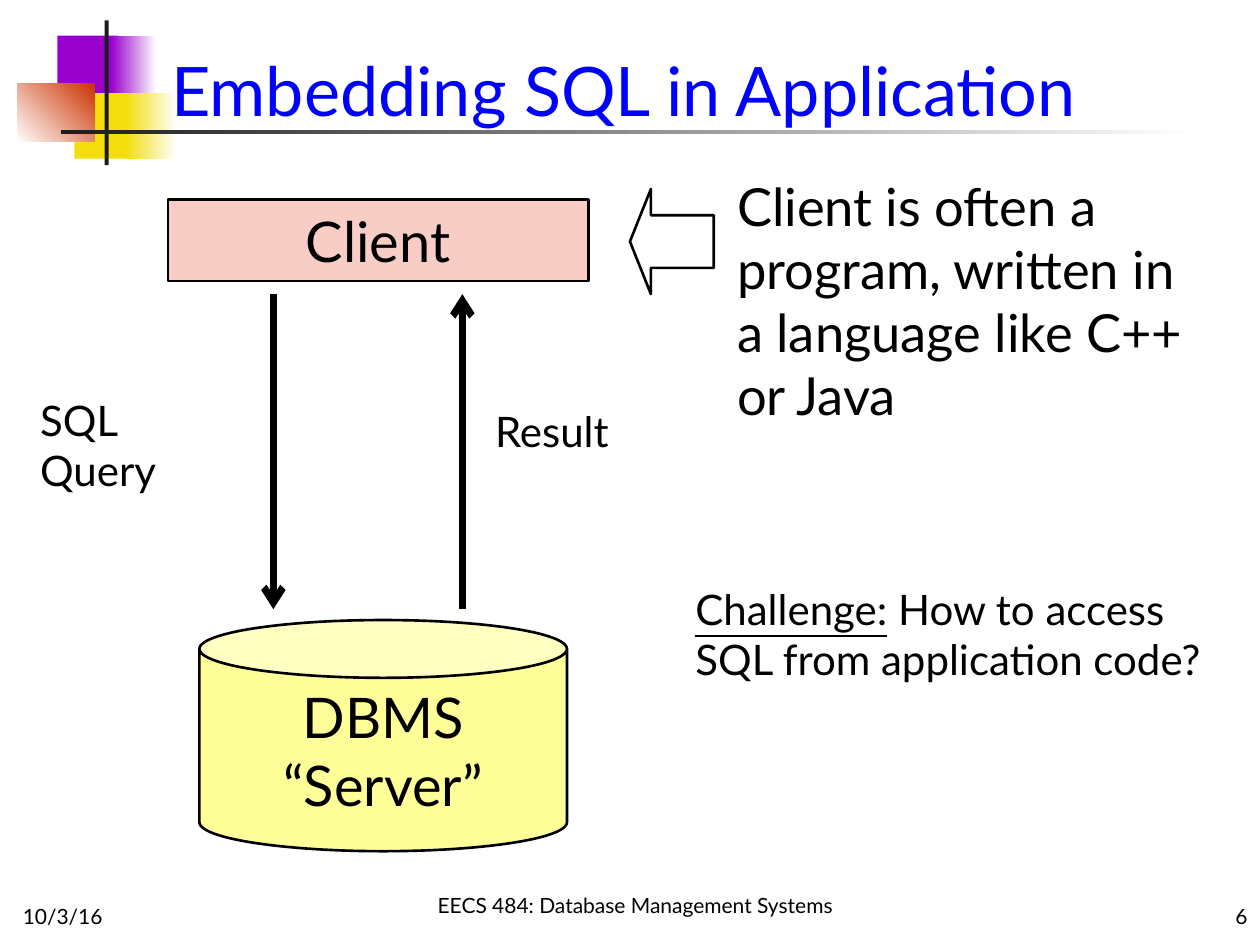
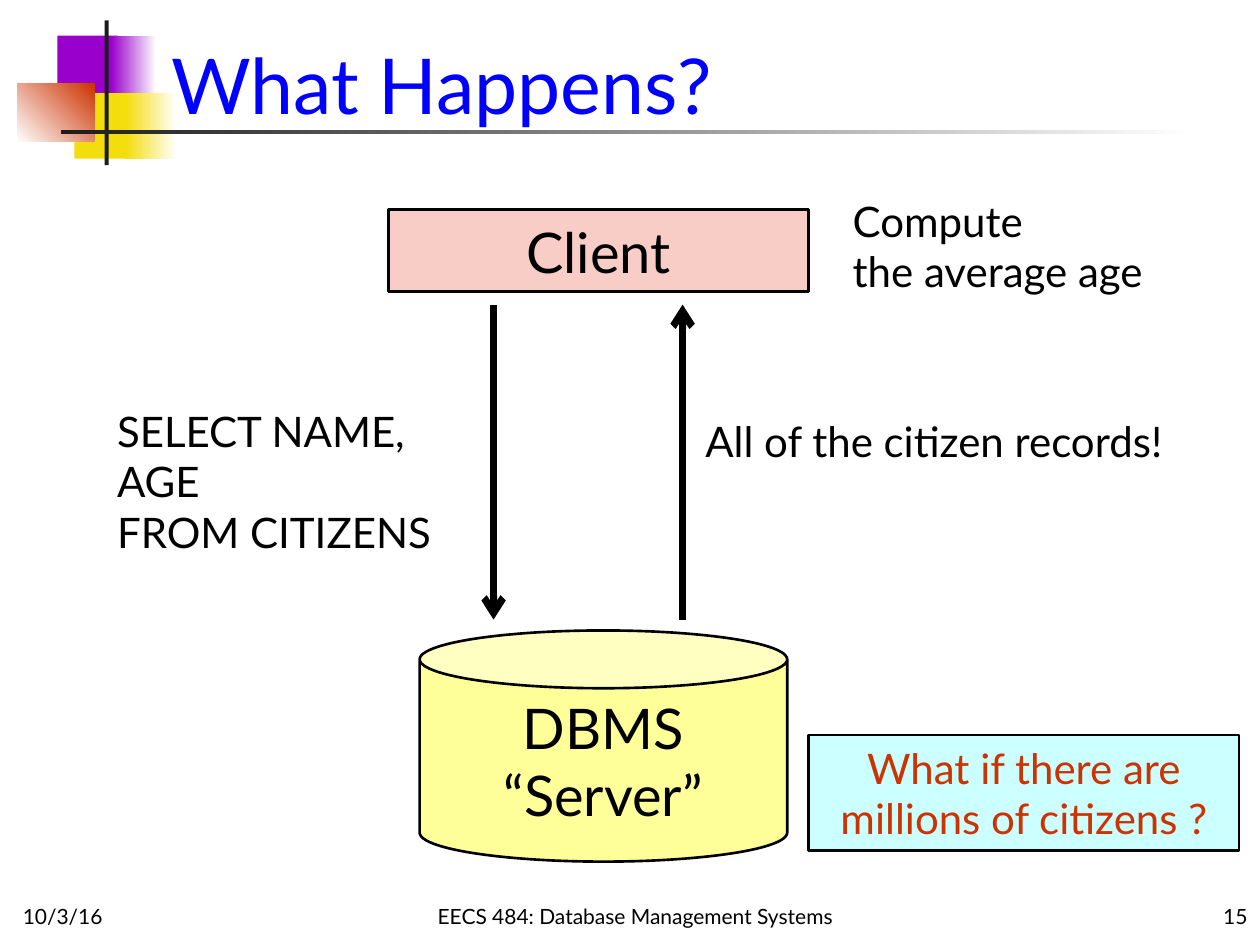
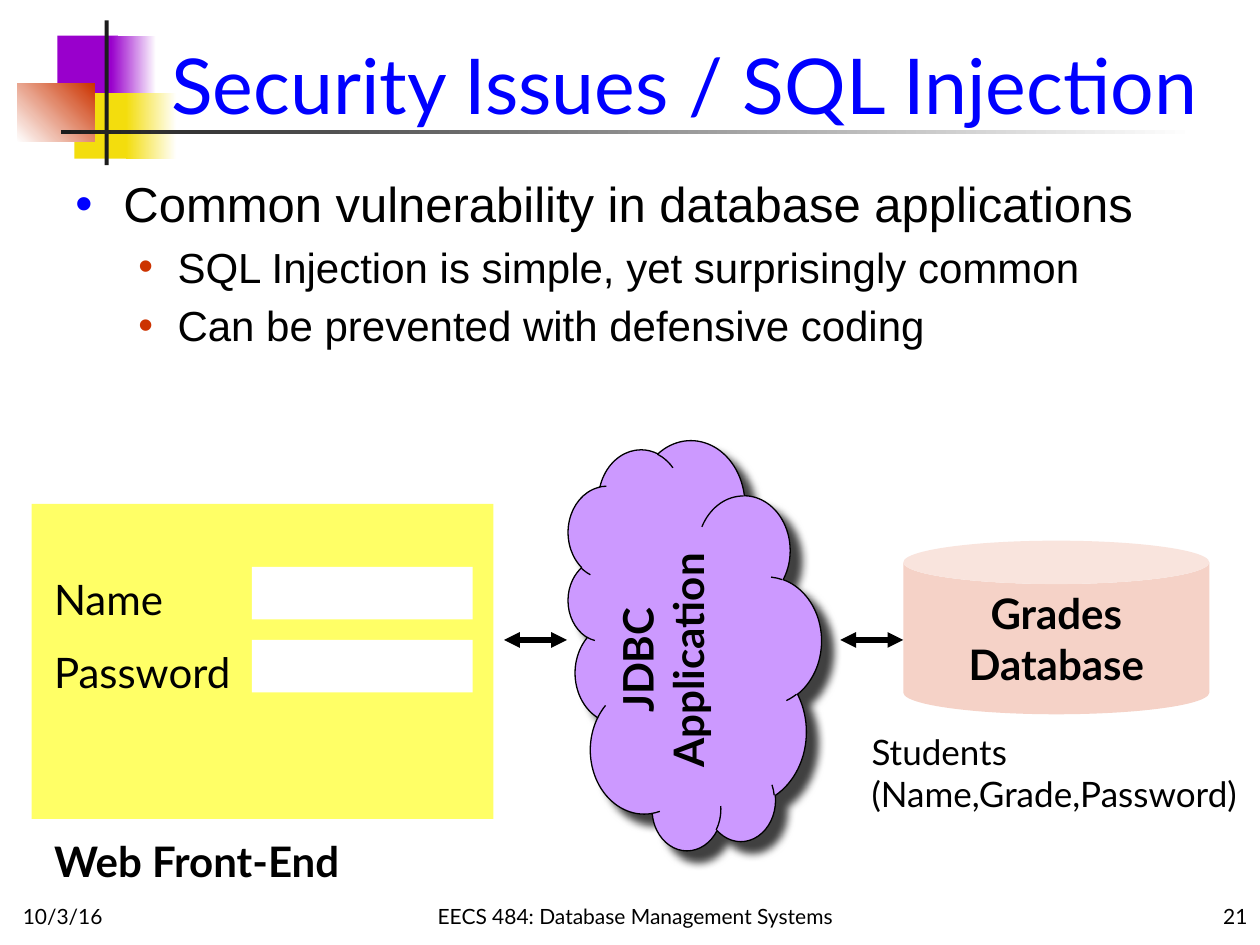
from lxml import etree
from pptx import Presentation
from pptx.dml.color import RGBColor
from pptx.enum.shapes import MSO_CONNECTOR, MSO_SHAPE
from pptx.enum.text import MSO_ANCHOR, MSO_AUTO_SIZE, PP_ALIGN
from pptx.oxml.ns import qn
from pptx.util import Cm, Pt

RECT, CAN, CLOUD, LEFT_ARROW = MSO_SHAPE.RECTANGLE, MSO_SHAPE.CAN, MSO_SHAPE.CLOUD, MSO_SHAPE.LEFT_ARROW
STRAIGHT = MSO_CONNECTOR.STRAIGHT
LEFT, CENTER, RIGHT = PP_ALIGN.LEFT, PP_ALIGN.CENTER, PP_ALIGN.RIGHT
TOP, MIDDLE, BOTTOM = MSO_ANCHOR.TOP, MSO_ANCHOR.MIDDLE, MSO_ANCHOR.BOTTOM
NO_FIT = MSO_AUTO_SIZE.NONE

COLORS = {
    "text": "000000", "title": "0000FF", "white": "FFFFFF", "ink": "1C1C1C",
    "purple": "9900CC", "gold": "F3DD0D", "red": "CC3300",
    "client": "F8CDC6", "server": "FFFF99", "question": "CCFFFF",
    "form": "FFFF66", "cloud": "CC99FF", "grades": "F5D2C7",
}


def write(shape, text, size=24, color="text", align=LEFT, anchor=TOP, bold=False,
          font="Lato", underlined=""):
    frame = shape.text_frame
    frame.word_wrap = True
    frame.auto_size = NO_FIT
    frame.vertical_anchor = anchor
    for index, line in enumerate(text.split("\n")):
        paragraph = frame.add_paragraph() if index else frame.paragraphs[0]
        paragraph.alignment = align
        lead = underlined if index == 0 else ""
        for part in filter(None, (lead, line[len(lead):])):
            run = paragraph.add_run()
            run.text = part
            run.font.name = font
            run.font.size = Pt(size)
            run.font.bold = bold
            run.font.underline = part == lead
            run.font.color.rgb = RGBColor.from_string(COLORS[color])
    return frame


def block(slide, kind, box, fill=None, line_width=0):
    shape = slide.shapes.add_shape(kind, *map(Cm, box))
    shape.shadow.inherit = False
    if fill:
        shape.fill.solid()
        shape.fill.fore_color.rgb = RGBColor.from_string(COLORS[fill])
    else:
        shape.fill.background()
    if line_width:
        shape.line.width = Pt(line_width)
        shape.line.color.rgb = RGBColor.from_string(COLORS["text"])
    else:
        shape.line.fill.background()
    return shape


prs = Presentation()
prs.slide_width, prs.slide_height = Cm(25.4), Cm(19.05)
layout = prs.slide_layouts[5]

slides = []
for heading, title_size, title_width, number, footer_top in [
    ("Embedding SQL in Application", 39, 21.64, "6", 17.35),
    ("What Happens?", 44, 21.64, "15", 17.57),
    ("Security Issues / SQL Injection", 44, 22.83, "21", 17.57),
]:
    slide = prs.slides.add_slide(layout)
    slides.append(slide)
    title = slide.shapes.title
    title.left, title.top, title.width, title.height = map(Cm, (3.2, -0.43, title_width, 3.18))
    write(title, heading, size=title_size, color="title", anchor=BOTTOM)
    for footer, left, top, width, align in [
        ("10/3/16", 0.21, 17.57, 5.29, LEFT),
        ("EECS 484: Database Management Systems", 5.93, footer_top, 13.76, CENTER),
        (number, 20.11, 17.57, 5.29, RIGHT),
    ]:
        holder = slide.shapes.add_textbox(*map(Cm, (left, top, width, 1.27)))
        write(holder, footer, size=12, align=align, anchor=BOTTOM)

embedding, happening, security = slides

for box, start, end, angle in [
    ((1.16, 0.72, 1.22, 1.32), "purple", None, 0),
    ((2.24, 0.72, 0.91, 1.32), "purple", "white", 0),
    ((1.5, 1.88, 1.17, 1.32), "gold", None, 0),
    ((2.54, 1.88, 1.02, 1.32), "gold", "white", 0),
    ((0.35, 1.68, 1.56, 1.18), "white", "red", 45),
    ((2.11, 0.41, 0.08, 2.92), "ink", None, 0),
    ((1.23, 2.62, 22.86, 0.08), "ink", "white", 0),
]:
    ornament = block(embedding, RECT, box, start)
    if end:
        ornament.fill.gradient()
        ornament.fill.gradient_angle = angle
        for stop, color in zip(ornament.fill.gradient_stops, (start, end)):
            stop.color.rgb = RGBColor.from_string(COLORS[color])
    layout.shapes.element.append(ornament.element)

arrows = [
    (security, 10.16, 12.9, 11.43, 12.9, 3, ("headEnd", "tailEnd"), "triangle"),
    (security, 16.94, 12.9, 18.21, 12.9, 3, ("headEnd", "tailEnd"), "triangle"),
]
for slide, x, y in [(embedding, 3.39, 4.02), (happening, 7.83, 4.23)]:
    server = block(slide, CAN, (x + 0.63, y + 8.48, 7.41, 4.66), "server", 1.5)
    write(server, "DBMS\n“Server”", size=32, align=CENTER, anchor=MIDDLE)
    client = block(slide, RECT, (x, y, 8.47, 1.65), "client", 1.5)
    write(client, "Client", size=32, align=CENTER, anchor=MIDDLE)
    upper, lower = y + 1.91, y + 8.26
    arrows.append((slide, x + 2.12, upper, x + 2.12, lower, 4, ("tailEnd",), "arrow"))
    arrows.append((slide, x + 5.93, lower, x + 5.93, upper, 4, ("tailEnd",), "arrow"))

pointer = block(embedding, LEFT_ARROW, (12.7, 3.81, 1.69, 2.12), line_width=1.5)
pointer.adjustments[0], pointer.adjustments[1] = 0.5, 0.25

question = block(happening, RECT, (16.3, 14.82, 8.68, 2.33), "question", 1.5)
write(question, "What if there are millions of citizens ?", color="red", align=CENTER, anchor=MIDDLE)

block(security, RECT, (0.64, 10.16, 9.31, 6.35), "form")
for field_top in (11.43, 12.9):
    block(security, RECT, (5.08, field_top, 4.45, 1.06), "white")

application = block(security, CLOUD, (9.86, 10.46, 8.26, 5.11), "cloud", 0.75)
application.rotation = 270
write(application, "JDBC\nApplication", align=CENTER, bold=True)
effects = application.element.spPr.find(qn("a:effectLst"))
shadow = etree.SubElement(effects, qn("a:outerShdw"), blurRad=str(Pt(5)), dist=str(Pt(8.5)),
                          dir="2700000", algn="ctr", rotWithShape="0")
shade = etree.SubElement(shadow, qn("a:srgbClr"), val=COLORS["text"])
etree.SubElement(shade, qn("a:alpha"), val="75000")

grades = block(security, CAN, (18.21, 10.9, 6.17, 3.5), "grades")
write(grades, "Grades\nDatabase", align=CENTER, anchor=MIDDLE, bold=True)

for slide, box, text, style in [
    (embedding, (0.56, 7.82, 3.6, 2.3), "SQL Query", {}),
    (embedding, (9.73, 8.05, 3.2, 1.27), "Result", {}),
    (embedding, (14.61, 3.38, 9.96, 5.33),
     "Client is often a\nprogram, written in a language like C++ or Java", {"size": 30}),
    (embedding, (13.77, 11.63, 11, 2.29),
     "Challenge: How to access\nSQL from application code?", {"underlined": "Challenge:"}),
    (happening, (2.11, 8.05, 7.2, 3.3), "SELECT NAME, AGE\nFROM CITIZENS", {}),
    (happening, (13.97, 8.26, 10.2, 1.27), "All of the citizen records!", {}),
    (happening, (16.94, 3.81, 7, 2.29), "Compute\nthe average age", {}),
    (security, (0.84, 11.43, 3.61, 1.27), "Name", {}),
    (security, (0.84, 12.9, 4.24, 1.27), "Password", {}),
    (security, (0.84, 16.71, 8.69, 1.27), "Web Front-End", {"bold": True}),
    (security, (17.32, 14.61, 8.08, 1.96), "Students\n(Name,Grade,Password)", {"size": 20}),
]:
    write(slide.shapes.add_textbox(*map(Cm, box)), text, **style)

points = write(
    security.shapes.add_textbox(*map(Cm, (1.27, 3.38, 23.5, 5.08))),
    "Common vulnerability in database applications\n"
    "SQL Injection is simple, yet surprisingly common\n"
    "Can be prevented with defensive coding",
    font="Arial",
)
for level, paragraph in zip((0, 1, 1), points.paragraphs):
    size, margin, hang, bullet_color = [(28, 0.97, 0.97, "title"), (24, 2.06, 0.79, "red")][level]
    paragraph.level = level
    paragraph.space_before = Pt(size * 0.2)
    paragraph.runs[0].font.size = Pt(size)
    properties = paragraph._p.get_or_add_pPr()
    properties.set("marL", str(Cm(margin)))
    properties.set("indent", str(-Cm(hang)))
    tint = etree.SubElement(properties, qn("a:buClr"))
    etree.SubElement(tint, qn("a:srgbClr"), val=COLORS[bullet_color])
    etree.SubElement(properties, qn("a:buFont"), typeface="Arial")
    etree.SubElement(properties, qn("a:buChar"), char="•")

for slide, x1, y1, x2, y2, weight, ends, head in arrows:
    arrow = slide.shapes.add_connector(STRAIGHT, *map(Cm, (x1, y1, x2, y2)))
    arrow.line.width = Pt(weight)
    arrow.line.color.rgb = RGBColor.from_string(COLORS["text"])
    for end in ends:
        etree.SubElement(arrow.line._get_or_add_ln(), qn("a:" + end), type=head)
    etree.SubElement(arrow.element.spPr, qn("a:effectLst"))

prs.save("out.pptx")
